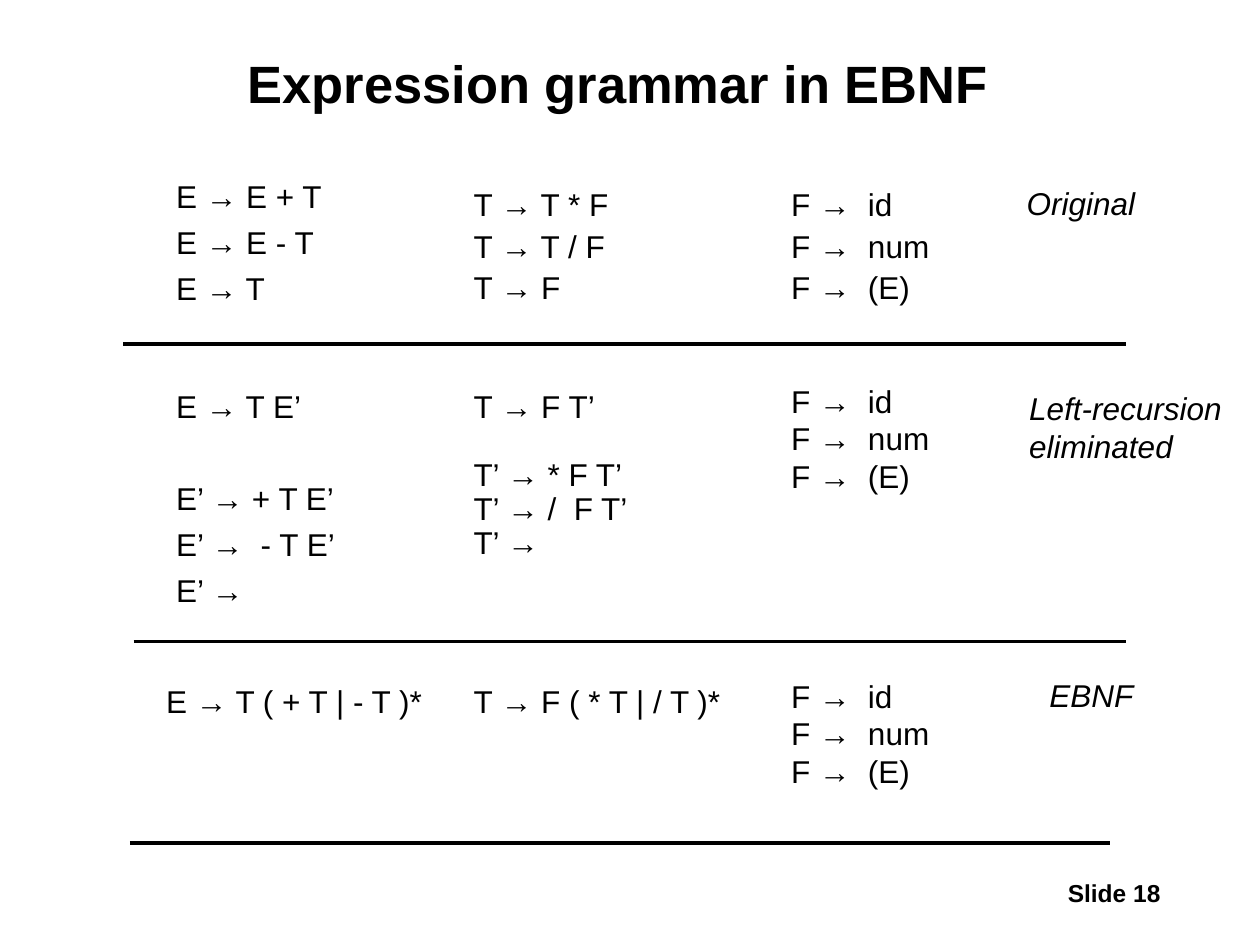
"""Build the slide comparing three forms of an expression grammar."""
from lxml.etree import SubElement
from pptx import Presentation
from pptx.dml.color import RGBColor
from pptx.enum.shapes import MSO_CONNECTOR as CONNECTOR
from pptx.enum.text import MSO_ANCHOR as ANCHOR, MSO_AUTO_SIZE as AUTO, PP_ALIGN as ALIGN
from pptx.oxml.ns import qn
from pptx.util import Inches, Pt

COLORS = {"ink": "000000", "paper": "FFFFFF"}
FONT = "Arial"
FACTORS = ["F →  id", "F →  num", "F →  (E)"]
E_X, T_X, F_X = 1.3, 3.66, 6.18
E_SIZE, SIZE = (2.55, 4.93), (2.92, 4.52)
STEP, LINE = 6.8, 19.4


def add_text(slide, box, lines, size=18, bold=False, italic=False, align=ALIGN.LEFT,
             spacing=None, before=0, gaps=None, hang=0, wrap=True):
    s = slide.shapes.add_textbox(*map(Inches, box))
    tf = s.text_frame
    tf.word_wrap = wrap
    tf.auto_size = AUTO.NONE if wrap else AUTO.SHAPE_TO_FIT_TEXT
    for i, line in enumerate(lines):
        p = tf.paragraphs[0] if i == 0 else tf.add_paragraph()
        p.alignment = align
        if spacing:
            p.line_spacing = spacing
        if i:
            p.space_before = Pt((gaps or {}).get(i, before))
        if hang:
            pPr = p._p.get_or_add_pPr()
            pPr.set("marL", str(Inches(hang)))
            pPr.set("indent", str(-Inches(hang)))
        r = p.add_run()
        r.text = line
        r.font.name, r.font.size = FONT, Pt(size)
        r.font.bold, r.font.italic = bold, italic
        r.font.color.rgb = RGBColor.from_string(COLORS["ink"])
    return s


def add_e_rules(slide, x, y, lines, gaps=None):
    add_text(slide, (x, y, *E_SIZE), lines, spacing=0.9, before=STEP, gaps=gaps, hang=0.38)


def add_rules(slide, x, y, lines, spacing=None, gaps=None):
    add_text(slide, (x, y, *SIZE), lines, spacing=spacing, gaps=gaps)


def add_label(slide, box, lines):
    add_text(slide, box, lines, italic=True, wrap=False)


def add_divider(slide, x1, x2, y):
    c = slide.shapes.add_connector(CONNECTOR.STRAIGHT, Inches(x1), Inches(y), Inches(x2), Inches(y))
    c.line.color.rgb = RGBColor.from_string(COLORS["ink"])
    c.line.width = Pt(2)
    SubElement(c._element.spPr, qn("a:effectLst"))


def main():
    prs = Presentation()
    prs.slide_width, prs.slide_height = Inches(10), Inches(7.5)
    slide = prs.slides.add_slide(prs.slide_layouts[6])
    slide.background.fill.solid()
    slide.background.fill.fore_color.rgb = RGBColor.from_string(COLORS["paper"])

    title = add_text(slide, (1.06, 0.21, 7.69, 0.96), ["Expression grammar in EBNF"],
                     size=30, bold=True, align=ALIGN.CENTER, spacing=0.9)
    title.text_frame.vertical_anchor = ANCHOR.MIDDLE

    add_e_rules(slide, E_X, 1.39, ["E → E + T", "E → E - T", "E → T"])
    add_rules(slide, T_X, 1.39, ["T → T * F", "T → T / F", "T → F"], spacing=1.1)
    add_rules(slide, F_X, 1.39, FACTORS, spacing=1.1)
    add_label(slide, (8.05, 1.41, 1.08, 0.4), ["Original"])

    add_e_rules(slide, E_X, 3.06, ["E → T E’", "E’ → + T E’", "E’ →  - T E’", "E’ →"],
                gaps={1: LINE + 2 * STEP})
    add_rules(slide, T_X, 3.06, ["T → F T’", "T’ → * F T’", "T’ → /  F T’", "T’ →"],
              spacing=0.9, gaps={1: LINE})
    add_rules(slide, F_X, 2.98, FACTORS)
    add_label(slide, (8.07, 3.04, 1.75, 0.7), ["Left-recursion", "eliminated"])

    add_e_rules(slide, 1.22, 5.4, ["E → T ( + T | - T )*"])
    add_rules(slide, T_X, 5.4, ["T → F ( * T | / T )*"], spacing=0.9)
    add_rules(slide, F_X, 5.32, FACTORS)
    add_label(slide, (8.23, 5.32, 0.9, 0.4), ["EBNF"])

    for x1, x2, y in [(0.98, 8.94, 2.73), (1.06, 8.94, 5.09), (1.03, 8.81, 6.69)]:
        add_divider(slide, x1, x2, y)
    add_text(slide, (7.64, 6.92, 1.67, 0.33), ["Slide 18"], size=14, bold=True,
             align=ALIGN.RIGHT, wrap=False)
    prs.save("out.pptx")


if __name__ == "__main__":
    main()
